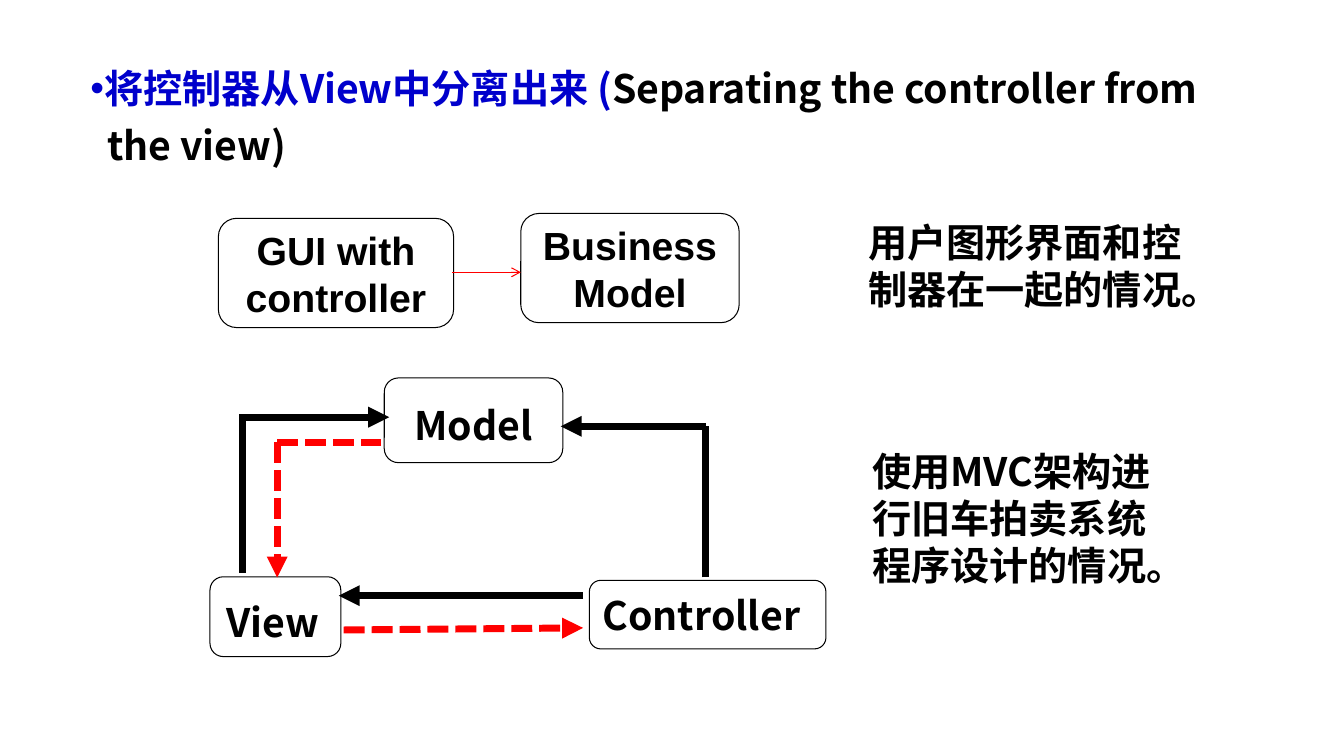
from pptx import Presentation
from pptx.dml.color import RGBColor
from pptx.enum.dml import MSO_LINE
from pptx.enum.shapes import MSO_CONNECTOR as CONN, MSO_SHAPE as SHAPE
from pptx.enum.text import MSO_ANCHOR as ANCHOR, PP_ALIGN as ALIGN
from pptx.oxml.ns import qn
from pptx.util import Pt
from lxml.etree import SubElement

NOTO = "Noto Sans CJK SC"
BLACK, RED, BLUE, WHITE = "000000", "FF0000", "0000CC", "FFFFFF"


def rgb(value):
    return RGBColor.from_string(value)


def add_run(p, text, color=BLACK, font=NOTO):
    r = p.add_run()
    r.text = text
    for key, value in dict(name=font, size=Pt(28), bold=True).items():
        setattr(r.font, key, value)
    r.font.color.rgb = rgb(color)
    SubElement(r.font._element, qn("a:ea"), typeface=font)


def format_frame(tf, **margins):
    tf.word_wrap = True
    for side, value in margins.items():
        setattr(tf, f"margin_{side}", Pt(value))


def add_text(s, box, text):
    tf = s.shapes.add_textbox(*map(Pt, box)).text_frame
    format_frame(tf)
    add_run(tf.paragraphs[0], text)


def add_heading(s, box):
    tf = s.shapes.add_textbox(*map(Pt, box)).text_frame
    format_frame(tf)
    lines = [
        [("将控制器从View中分离出来 (", BLUE), ("Separating the controller from", BLACK)],
        [("the view)", BLACK)],
    ]
    for i, runs in enumerate(lines):
        p = tf.add_paragraph() if i else tf.paragraphs[0]
        p.line_spacing = 1.2
        pPr = p._p.get_or_add_pPr()
        pPr.set("marL", str(Pt(12 if i else 10)))
        pPr.set("indent", str(Pt(0 if i else -10)))
        if i:
            SubElement(pPr, qn("a:buNone"))
        else:
            SubElement(pPr, qn("a:buFont"), typeface="Arial")
            SubElement(pPr, qn("a:buChar"), char="•")
        for text, color in runs:
            add_run(p, text, color)


def add_node(s, box, text, font=NOTO, spacing=1.0, right=5):
    sp = s.shapes.add_shape(SHAPE.ROUNDED_RECTANGLE, *map(Pt, box))
    sp.shadow.inherit = False
    sp.fill.solid()
    sp.fill.fore_color.rgb = rgb(WHITE)
    sp.line.color.rgb = rgb(BLACK)
    sp.line.width = Pt(0.75)
    tf = sp.text_frame
    format_frame(tf, left=5, right=right, top=2, bottom=2)
    tf.vertical_anchor = ANCHOR.MIDDLE
    p = tf.paragraphs[0]
    p.alignment = ALIGN.CENTER
    p.line_spacing = spacing
    add_run(p, text, font=font)


def add_line(s, origin, points, color=BLACK, width=5, dotted=False, head=None):
    x, y = origin
    c = s.shapes.add_connector(CONN.STRAIGHT, *(Pt(v) for px, py in points for v in (x + px, y + py)))
    c.line.color.rgb = rgb(color)
    c.line.width = Pt(width)
    if dotted:
        c.line.dash_style = MSO_LINE.SQUARE_DOT
    if head:
        SubElement(c.line._get_or_add_ln(), qn("a:tailEnd"), type=head)
    SubElement(c._element.spPr, qn("a:effectLst"))


def add_combined_design(s, box):
    x, y, w, h = box
    add_node(s, (x, y + 3.5, 168, h - 3.5), "GUI with controller", "Arial")
    add_node(s, (x + 216, y, w - 216, h - 3.5), "Business Model", "Arial")
    add_line(s, (x, y), [(167, 42), (216, 42)], RED, 0.75, head="arrow")
    add_text(s, (x + 457, y, 252, 75), "用户图形界面和控制器在一起的情况。")


def add_mvc_design(s, box):
    x, y, w, h = box
    add_node(s, (x + 124.5, y, 127.5, 60.5), "Model", spacing=1.2)
    add_node(s, (x, y + h - 57, 93.5, 57), "View", spacing=1.2, right=9)
    add_node(s, (x + w - 169, y + 144.5, 169, 49), "Controller", right=14)
    solid = [
        ([(23, 139), (23, 28)], None),
        ([(21, 28), (128, 28)], "triangle"),
        ([(354, 142.5), (354, 34.5)], None),
        ([(354, 34.5), (250.5, 34.5)], "triangle"),
        ([(266.5, 155.5), (92, 155.5)], "triangle"),
    ]
    dotted = [
        ([(95.5, 180), (266.5, 178.5)], "triangle"),
        ([(48, 46), (122.5, 46)], None),
        ([(48, 46), (48, 142.5)], "triangle"),
    ]
    for points, head in solid:
        add_line(s, (x, y), points, head=head)
    for points, head in dotted:
        add_line(s, (x, y), points, RED, dotted=True, head=head)
    add_text(s, (x + 466, y + 46, 234, 109), "使用MVC架构进行旧车拍卖系统程序设计的情况。")


def main():
    prs = Presentation()
    prs.slide_width, prs.slide_height = Pt(960), Pt(540)
    s = prs.slides.add_slide(prs.slide_layouts[6])
    add_heading(s, (57.5, 36, 857.5, 100))
    add_combined_design(s, (156, 152.5, 372, 81.5))
    add_mvc_design(s, (150, 270, 440, 199))
    prs.save("out.pptx")


if __name__ == "__main__":
    main()
